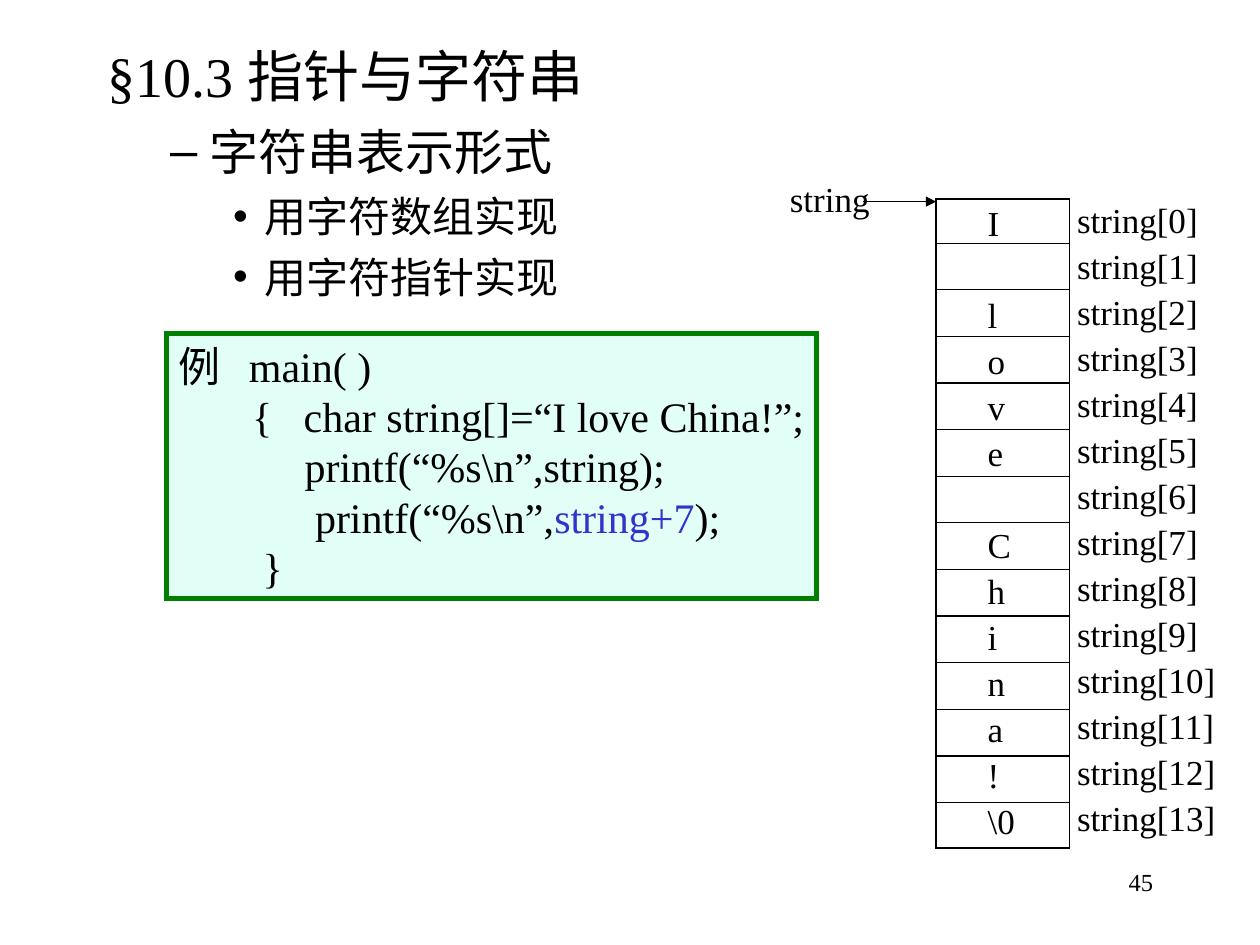
from dataclasses import dataclass

from pptx import Presentation
from pptx.dml.color import RGBColor
from pptx.enum import shapes as kinds, text as txt
from pptx.oxml.ns import qn
from pptx.util import Inches, Pt
from lxml import etree


@dataclass(frozen=True)
class Theme:
    font: str = "Times New Roman"
    ink: RGBColor = RGBColor(0, 0, 0)
    accent: RGBColor = RGBColor(0x33, 0x33, 0xCC)
    code_fill: RGBColor = RGBColor(0xE1, 0xFF, 0xF7)
    code_border: RGBColor = RGBColor(0, 0x80, 0)
    level_sizes: tuple = (32, 28, 24)
    level_gaps: tuple = (8, 7, 6)
    code_size: int = 24
    label_size: int = 20
    number_size: int = 14
    thin: float = 0.75
    thick: float = 3


THEME = Theme()

OUTLINE = [
    (0, "§10.3 指针与字符串"),
    (1, "字符串表示形式"),
    (2, "用字符数组实现"),
    (2, "用字符指针实现"),
]
# Each code line is a list of (text, colour) runs.
CODE = [
    [("例   main( )", THEME.ink)],
    [("       {   char string[]=“I love China!”;", THEME.ink)],
    [("            printf(“%s\\n”,string);", THEME.ink)],
    [("             printf(“%s\\n”,", THEME.ink), ("string+7", THEME.accent), (");", THEME.ink)],
    [("        }", THEME.ink)],
]
# Character and label width for each array element; blanks stay empty.
CELLS = [
    ("I", 0.29), (" ", 0), ("l", 0.27), ("o", 0.34), ("v", 0.34), ("e", 0.32), (" ", 0),
    ("C", 0.38), ("h", 0.34), ("i", 0.27), ("n", 0.34), ("a", 0.32), ("!", 0.29), ("\\0", 0.41),
]
ARRAY_LEFT, ARRAY_TOP, ARRAY_WIDTH, ARRAY_HEIGHT = 7.43, 1.58, 1.06, 5.15
LABEL_HEIGHT, LABEL_PITCH = 0.44, 0.365
FIRST_DIVIDER, DIVIDER_PITCH = 1.93, 0.37


def style(paragraph, size):
    paragraph.font.name = THEME.font
    paragraph.font.size = Pt(size)
    paragraph.font.color.rgb = THEME.ink


def keep_on_one_line(frame):
    """Turn wrapping off and free the right inset, so close-fitting text has room."""
    frame.word_wrap = False
    frame.margin_right = 0


def add_label(parent, content, left, top, width, height=LABEL_HEIGHT, size=THEME.label_size):
    label = parent.add_textbox(Inches(left), Inches(top), Inches(width), Inches(height))
    keep_on_one_line(label.text_frame)
    paragraph = label.text_frame.paragraphs[0]
    paragraph.text = content
    style(paragraph, size)
    return label


def add_box(parent, left, top, width, height, border, weight, fill=None):
    box = parent.add_shape(kinds.MSO_SHAPE.RECTANGLE, Inches(left), Inches(top),
                           Inches(width), Inches(height))
    box.shadow.inherit = False
    if fill is None:
        box.fill.background()
    else:
        box.fill.solid()
        box.fill.fore_color.rgb = fill
    box.line.color.rgb = border
    box.line.width = Pt(weight)
    etree.SubElement(box.line._get_or_add_ln(), qn("a:miter"), lim="800000")
    return box


def add_rule(parent, left, right, y, arrow=False):
    rule = parent.add_connector(kinds.MSO_CONNECTOR.STRAIGHT, Inches(left), Inches(y),
                                Inches(right), Inches(y))
    rule.line.color.rgb = THEME.ink
    rule.line.width = Pt(THEME.thin)
    if arrow:
        etree.SubElement(rule.line._get_or_add_ln(), qn("a:tailEnd"), type="triangle")
    etree.SubElement(rule._element.spPr, qn("a:effectLst"))


def fill_outline(slide):
    """The section heading leads the list in the body, so the title is unused."""
    title = slide.shapes.title
    title._element.getparent().remove(title._element)
    body = slide.placeholders[1]
    body.left, body.top = Inches(0.75), Inches(0.28)
    body.width, body.height = Inches(8.5), Inches(6.38)
    frame = body.text_frame
    for i, (level, content) in enumerate(OUTLINE):
        paragraph = frame.add_paragraph() if i else frame.paragraphs[0]
        paragraph.text = content
        paragraph.level = level
        paragraph.space_before = Pt(THEME.level_gaps[level] if i else 0)
        if level == 0:
            etree.SubElement(paragraph._p.get_or_add_pPr(), qn("a:buNone"))
        style(paragraph, THEME.level_sizes[level])


def add_code(slide):
    box = add_box(slide.shapes, 1.32, 2.65, 5.16, 2.1, THEME.code_border, THEME.thick,
                  THEME.code_fill)
    frame = box.text_frame
    keep_on_one_line(frame)
    frame.vertical_anchor = txt.MSO_ANCHOR.TOP
    for i, line in enumerate(CODE):
        paragraph = frame.add_paragraph() if i else frame.paragraphs[0]
        paragraph.alignment = txt.PP_ALIGN.LEFT
        style(paragraph, THEME.code_size)
        for content, colour in line:
            run = paragraph.add_run()
            run.text = content
            run.font.color.rgb = colour


def add_array(slide):
    """Memory column with one cell per character, its index and the pointer."""
    array = slide.shapes.add_group_shape().shapes
    add_box(array, ARRAY_LEFT, ARRAY_TOP, ARRAY_WIDTH, ARRAY_HEIGHT, THEME.ink, THEME.thin)
    for i in range(len(CELLS) - 1):
        add_rule(array, ARRAY_LEFT, ARRAY_LEFT + ARRAY_WIDTH, FIRST_DIVIDER + i * DIVIDER_PITCH)
    for i, (character, width) in enumerate(CELLS):
        offset = i * LABEL_PITCH
        if character != " ":
            add_label(array, character, 7.74, 1.55 + offset, width)
        add_label(array, f"string[{i}]", 8.45, 1.53 + offset, 1.16 if i < 10 else 1.3)
    add_label(array, "string", 6.17, 1.36, 0.83)
    add_rule(array, 6.85, ARRAY_LEFT, 1.6, arrow=True)


def add_slide_number(slide):
    number = add_label(slide.shapes, "45", 7.17, 6.83, 2.08, 0.5, THEME.number_size)
    frame = number.text_frame
    frame.word_wrap = True
    frame.margin_right = Inches(0.1)
    frame.paragraphs[0].alignment = txt.PP_ALIGN.RIGHT


def main():
    deck = Presentation()
    deck.slide_width, deck.slide_height = Inches(10), Inches(7.5)
    slide = deck.slides.add_slide(deck.slide_layouts[1])
    fill_outline(slide)
    add_code(slide)
    add_array(slide)
    add_slide_number(slide)
    deck.save("out.pptx")


if __name__ == "__main__":
    main()
